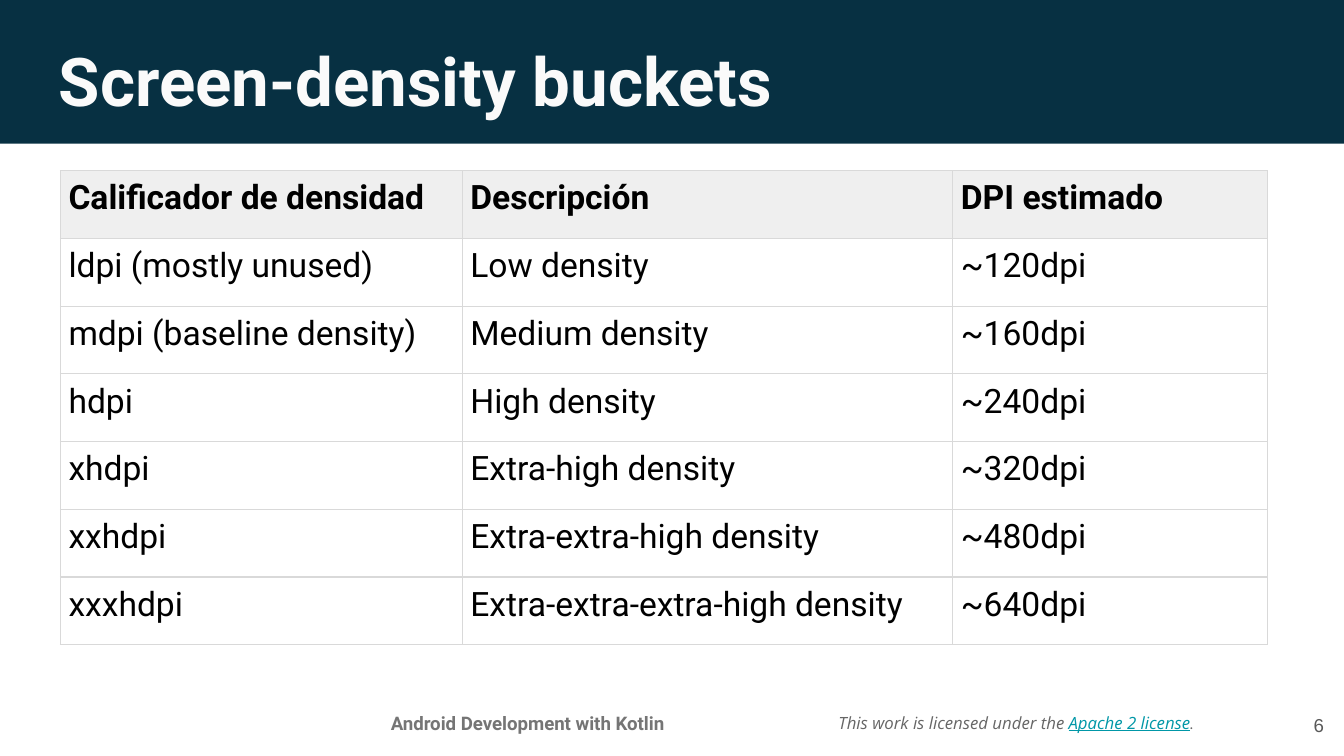
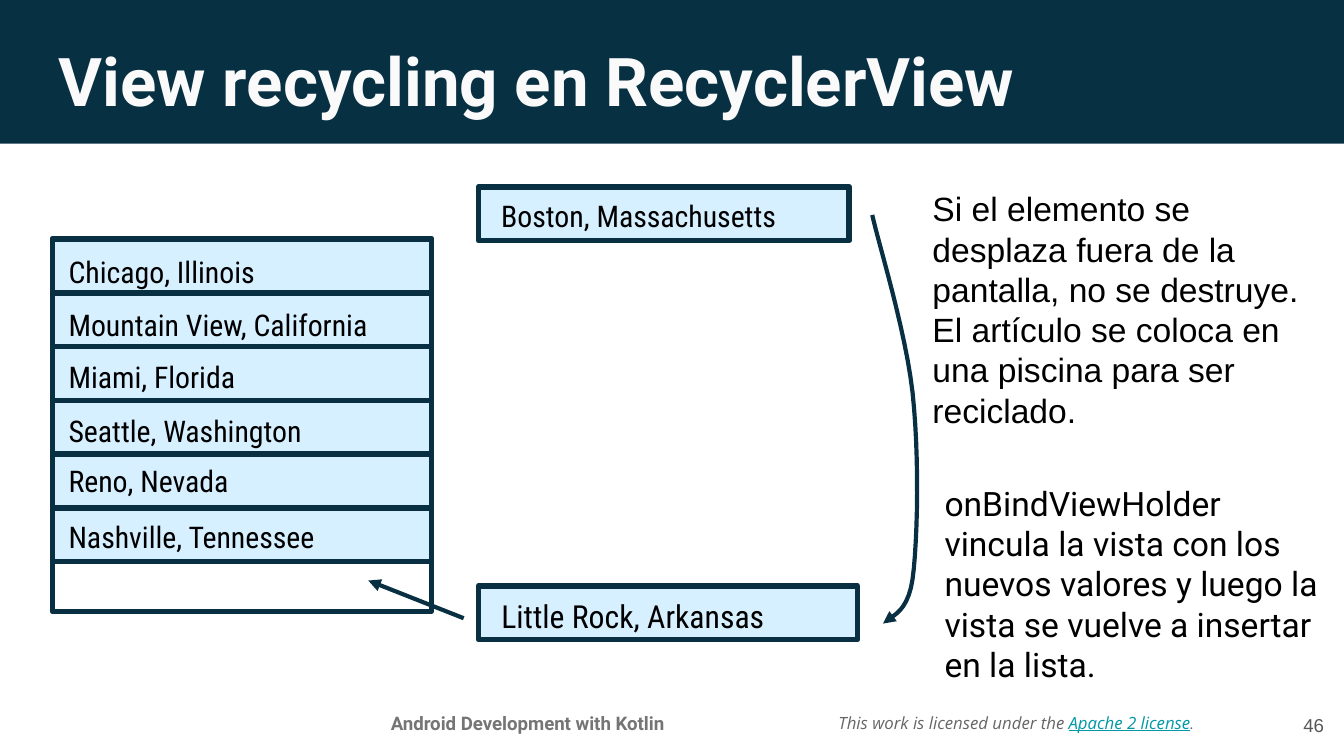
from lxml.etree import SubElement
from pptx import Presentation
from pptx.dml.color import RGBColor
from pptx.enum.shapes import MSO_CONNECTOR, MSO_SHAPE
from pptx.enum.text import MSO_ANCHOR, PP_ALIGN
from pptx.oxml.ns import qn
from pptx.util import Inches, Pt

BAND = RGBColor(0x07, 0x30, 0x42)
NAVY = RGBColor(0x08, 0x30, 0x42)
SKY = RGBColor(0xD6, 0xF0, 0xFF)
OFF_WHITE = RGBColor(0xFA, 0xFA, 0xFA)
BLACK = RGBColor(0, 0, 0)
HEADER_GRAY = RGBColor(0xEF, 0xEF, 0xEF)
BORDER_GRAY = RGBColor(0xD9, 0xD9, 0xD9)
COURSE_GRAY = RGBColor(0x75, 0x75, 0x75)
LICENSE_GRAY = RGBColor(0x66, 0x66, 0x66)
NUMBER_GRAY = RGBColor(0x59, 0x59, 0x59)
TEAL = RGBColor(0x00, 0x97, 0xA7)

COURSE = "Android Development with Kotlin"
LICENSE = [
    ("This work is licensed under the ", "Open Sans", LICENSE_GRAY, False),
    ("Apache 2 license", "Open Sans", TEAL, True),
    (".", "Roboto", LICENSE_GRAY, False),
]

DENSITIES = [
    ("Calificador de densidad", "Descripción", "DPI estimado"),
    ("ldpi (mostly unused)", "Low density", "~120dpi"),
    ("mdpi (baseline density)", "Medium density", "~160dpi"),
    ("hdpi", "High density", "~240dpi"),
    ("xhdpi", "Extra-high density", "~320dpi"),
    ("xxhdpi", "Extra-extra-high density", "~480dpi"),
    ("xxxhdpi", "Extra-extra-extra-high density", "~640dpi"),
]
COL_WIDTHS = (2.99, 3.65, 2.34)
TABLE_HEIGHT = 3.53

CITIES = [
    ("Chicago, Illinois", 0.11),
    ("Mountain View, California", 0.1),
    ("Miami, Florida", 0.09),
    ("Seattle, Washington", 0.09),
    ("Reno, Nevada", 0.06),
    ("Nashville, Tennessee", 0.08),
]
LIST_BOX = (0.39, 1.78, 2.82, 2.77)
ITEM_HEIGHT = 0.4
POOLED = [
    ("Boston, Massachusetts", (3.56, 1.39, 2.76, ITEM_HEIGHT), 16),
    ("Little Rock, Arkansas", (3.56, 4.36, 2.82, ITEM_HEIGHT), 17),
]
NOTES = [
    ("Si el elemento se desplaza fuera de la pantalla, no se destruye. "
     "El artículo se coloca en una piscina para ser reciclado.",
     (6.84, 1.3, 2.96, 1.56), "Arial"),
    ("onBindViewHolder vincula la vista con los nuevos valores y luego "
     "la vista se vuelve a insertar en la lista.",
     (6.93, 3.49, 3.07, 0.91), "Roboto"),
]
RECYCLE_START = (6.49, 1.6)
RECYCLE_CURVES = [
    ((6.54, 1.82), (6.74, 2.47), (6.79, 2.92)),
    ((6.84, 3.37), (6.83, 4.02), (6.79, 4.31)),
    ((6.75, 4.59), (6.6, 4.59), (6.57, 4.64)),
]
CURVE_STEPS = 12


def inches(values):
    return [Inches(v) for v in values]


def style(p, font, size, color, bold=False):
    p.font.name, p.font.size, p.font.bold = font, Pt(size), bold
    p.font.color.rgb = color


def set_insets(tf, left, top, right, bottom):
    tf.margin_left, tf.margin_top, tf.margin_right, tf.margin_bottom = inches(
        (left, top, right, bottom))


def add_text(slide, box, text, font, size, color, bold=False,
             align=PP_ALIGN.LEFT, anchor=MSO_ANCHOR.TOP):
    tf = slide.shapes.add_textbox(*inches(box)).text_frame
    tf.word_wrap = True
    tf.vertical_anchor = anchor
    set_insets(tf, 0.1, 0.1, 0.1, 0.1)
    p = tf.paragraphs[0]
    p.text, p.alignment = text, align
    style(p, font, size, color, bold)
    return p


def add_rect(slide, box, fill=None, line=None):
    sp = slide.shapes.add_shape(MSO_SHAPE.RECTANGLE, *inches(box))
    sp.shadow.inherit = False
    if fill is None:
        sp.fill.background()
    else:
        sp.fill.solid()
        sp.fill.fore_color.rgb = fill
    if line is None:
        sp.line.fill.background()
    else:
        sp.line.color.rgb, sp.line.width = line, Pt(3)
    return sp


def add_item(slide, box, text, size, left, top):
    tf = add_rect(slide, box, SKY, NAVY).text_frame
    tf.word_wrap = True
    tf.vertical_anchor = MSO_ANCHOR.TOP
    set_insets(tf, left, top, 0.1, 0)
    p = tf.paragraphs[0]
    p.text, p.alignment = text, PP_ALIGN.LEFT
    style(p, "Roboto Condensed", size, BLACK)


def make_arrow(sp):
    sp.line.color.rgb, sp.line.width = NAVY, Pt(2.25)
    SubElement(sp.line._get_or_add_ln(), qn("a:tailEnd"), type="triangle")


def bezier(start, c1, c2, end, t):
    u = 1 - t
    return inches(u**3 * a + 3 * u * u * t * b + 3 * u * t * t * c + t**3 * d
                  for a, b, c, d in zip(start, c1, c2, end))


def add_recycle_arrow(slide):
    points, start = [], RECYCLE_START
    for c1, c2, end in RECYCLE_CURVES:
        points += [bezier(start, c1, c2, end, i / CURVE_STEPS)
                   for i in range(1, CURVE_STEPS + 1)]
        start = end
    builder = slide.shapes.build_freeform(*inches(RECYCLE_START))
    builder.add_line_segments(points, close=False)
    sp = builder.convert_to_shape()
    sp.shadow.inherit = False
    sp.fill.background()
    make_arrow(sp)


def add_base(prs, title, number):
    slide = prs.slides.add_slide(prs.slide_layouts[6])
    p = add_text(slide, (6.14, 5.14, 2.94, 0.47), "", "Open Sans", 9,
                 LICENSE_GRAY, anchor=MSO_ANCHOR.MIDDLE)
    for text, font, color, underline in LICENSE:
        r = p.add_run()
        r.text = text
        r.font.name, r.font.size, r.font.italic = font, Pt(9), True
        r.font.underline = underline
        r.font.color.rgb = color
    add_rect(slide, (-0.01, -0.04, 10.01, 1.11), BAND)
    add_text(slide, (2.51, 5.21, 2.83, 0.32), COURSE, "Roboto", 10,
             COURSE_GRAY, bold=True, align=PP_ALIGN.CENTER)
    add_text(slide, (0.34, 0.19, 9.32, 0.63), title, "Roboto", 36,
             OFF_WHITE, bold=True)
    add_text(slide, (9.35, 5.18, 0.6, 0.43), str(number), "Arial", 10,
             NUMBER_GRAY, align=PP_ALIGN.RIGHT, anchor=MSO_ANCHOR.MIDDLE)
    return slide


def set_borders(cell):
    tc_pr = cell._tc.get_or_add_tcPr()
    for i, side in enumerate(("a:lnL", "a:lnR", "a:lnT", "a:lnB")):
        ln = tc_pr.makeelement(qn(side), {"w": str(Pt(0.75))})
        fill = SubElement(ln, qn("a:solidFill"))
        SubElement(fill, qn("a:srgbClr"), val=str(BORDER_GRAY))
        tc_pr.insert(i, ln)


def add_density_table(slide):
    rows, cols = len(DENSITIES), len(COL_WIDTHS)
    table = slide.shapes.add_table(rows, cols, *inches(
        (0.45, 1.27, sum(COL_WIDTHS), TABLE_HEIGHT))).table
    table.first_row = table.horz_banding = False
    for col, width in zip(table.columns, COL_WIDTHS):
        col.width = Inches(width)
    for i, values in enumerate(DENSITIES):
        table.rows[i].height = Inches(TABLE_HEIGHT / rows)
        for j, value in enumerate(values):
            cell = table.cell(i, j)
            set_insets(cell, 0.06, 0.06, 0.06, 0.06)
            if i == 0:
                cell.fill.solid()
                cell.fill.fore_color.rgb = HEADER_GRAY
            else:
                cell.fill.background()
            p = cell.text_frame.paragraphs[0]
            p.text, p.space_after = value, Pt(6)
            style(p, "Roboto", 18, BLACK, bold=i == 0)
            set_borders(cell)


def add_recycling(slide):
    for text, box, font in NOTES:
        p = add_text(slide, box, text, font, 18, BLACK)
        p.line_spacing = Pt(21.6)
    add_rect(slide, LIST_BOX, line=NAVY)
    left, top, width, _ = LIST_BOX
    for i, (city, inset) in enumerate(CITIES):
        box = (left, top + i * ITEM_HEIGHT, width, ITEM_HEIGHT)
        add_item(slide, box, city, 16, 0.12, inset)
    for city, box, size in POOLED:
        add_item(slide, box, city, size, 0.17, 0.08)
    arrow = slide.shapes.add_connector(
        MSO_CONNECTOR.STRAIGHT, *inches((3.45, 4.6, 2.74, 4.32)))
    make_arrow(arrow)
    SubElement(arrow._element.spPr, qn("a:effectLst"))
    add_recycle_arrow(slide)


def main():
    prs = Presentation()
    prs.slide_width = Inches(10)
    prs.slide_height = prs.slide_width * 9 // 16
    add_density_table(add_base(prs, "Screen-density buckets", 6))
    add_recycling(add_base(prs, "View recycling en RecyclerView", 46))
    prs.save("out.pptx")


if __name__ == "__main__":
    main()
